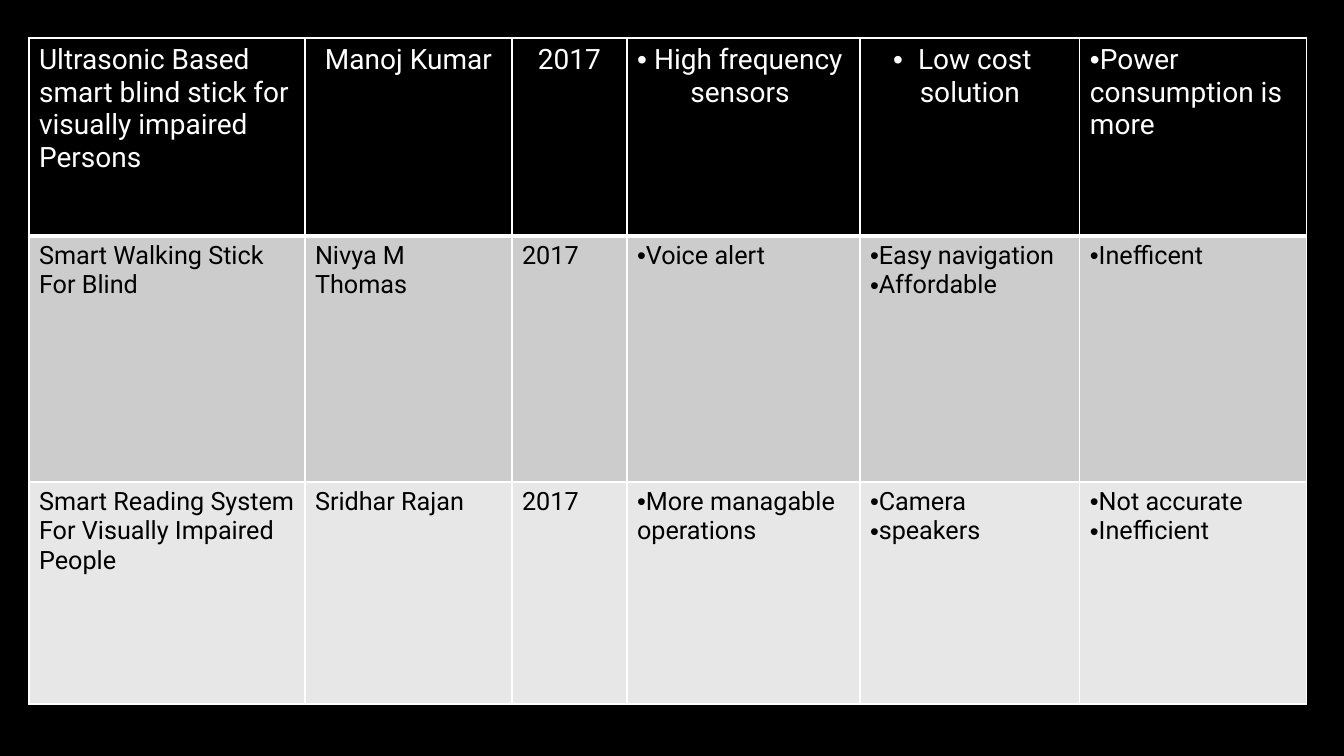
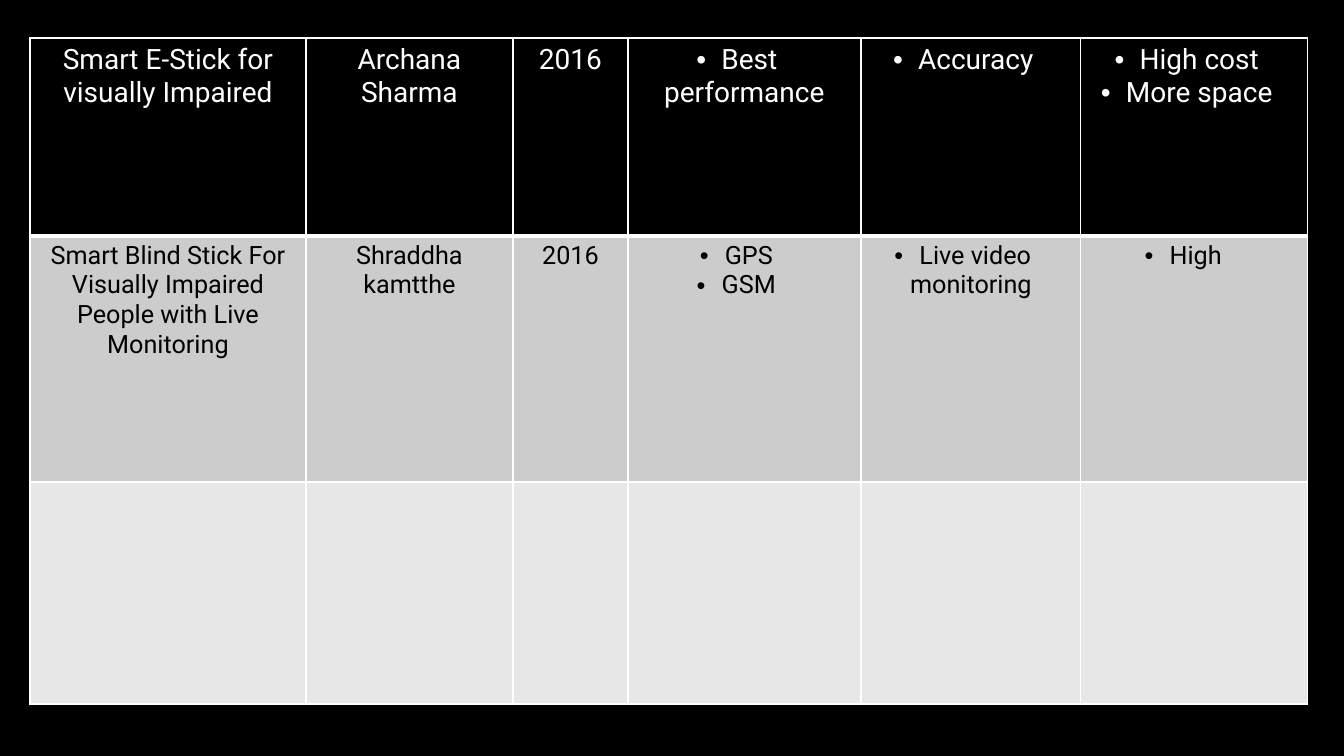
from itertools import product

from lxml import etree
from pptx import Presentation
from pptx.dml.color import RGBColor
from pptx.enum import text
from pptx.oxml import ns
from pptx.util import Emu, Pt

EMU_PER_PX = 914400 / 100.8
COLORS = {
    "page": "000000",
    "line": "FFFFFF",
    "head": "000000",
    "head_text": "FFFFFF",
    "middle": "CCCCCC",
    "last": "E7E7E7",
    "body_text": "000000",
}
FONT = "Roboto"
BULLET_FONT = "Arial"
COLUMN_WIDTHS = (276, 207, 115, 233, 220, 227)
FIRST_BULLET_COLUMN = 3
CENTRED_HANG = 25
# Per row: height, fill, text colour, text size, top and bottom line width
ROW_STYLES = (
    (198, "head", "head_text", 20, 1, 3),
    (246, "middle", "body_text", 18, 3, 1),
    (222, "last", "body_text", 18, 1, 1),
)


def px(length):
    return Emu(round(length * EMU_PER_PX))


def rgb(name):
    return RGBColor.from_string(COLORS[name])


class Deck:
    def __init__(self, width, height):
        self.file = Presentation()
        self.file.slide_width, self.file.slide_height = px(width), px(height)
        self.page = None

    def add_page(self):
        self.page = self.file.slides.add_slide(self.file.slide_layouts[6])
        fill = self.page.background.fill
        fill.solid()
        fill.fore_color.rgb = rgb("page")

    def add_table(self, left, top, rows, centred):
        """Draw the paper survey; centred holds the (row, column) pairs to centre."""
        heights = [style[0] for style in ROW_STYLES]
        table = self.page.shapes.add_table(
            len(heights), len(COLUMN_WIDTHS),
            px(left), px(top), px(sum(COLUMN_WIDTHS)), px(sum(heights)),
        ).table
        table.first_row = table.horz_banding = False
        for column, width in zip(table.columns, COLUMN_WIDTHS):
            column.width = px(width)
        for row, height in zip(table.rows, heights):
            row.height = px(height)

        for r, c in product(range(len(heights)), range(len(COLUMN_WIDTHS))):
            cell = table.cell(r, c)
            _, fill, color, size, above, below = ROW_STYLES[r]
            self.add_borders(cell, {"lnL": 1, "lnR": 1, "lnT": above, "lnB": below})
            cell.fill.solid()
            cell.fill.fore_color.rgb = rgb(fill)
            if r < len(rows):
                self.add_text(cell, rows[r][c], color, size,
                              (r, c) in centred, c >= FIRST_BULLET_COLUMN)

    def add_borders(self, cell, widths):
        properties = cell._tc.get_or_add_tcPr()
        for tag, width in widths.items():
            line = etree.SubElement(properties, ns.qn(f"a:{tag}"), w=str(Pt(width)))
            fill = etree.SubElement(line, ns.qn("a:solidFill"))
            etree.SubElement(fill, ns.qn("a:srgbClr"), val=COLORS["line"])

    def add_bullet(self, para, hang):
        properties = para._p.get_or_add_pPr()
        properties.set("marL", "0")
        properties.set("indent", str(-px(hang)))
        etree.SubElement(properties, ns.qn("a:buFont"), typeface=BULLET_FONT)
        etree.SubElement(properties, ns.qn("a:buChar"), char="•")

    def add_text(self, cell, content, color, size, centred, bulleted):
        cell.text = content
        for para in cell.text_frame.paragraphs:
            para.alignment = text.PP_ALIGN.CENTER if centred else text.PP_ALIGN.LEFT
            if bulleted:
                self.add_bullet(para, CENTRED_HANG if centred else 0)
            for span in para.runs:
                formats = {"name": FONT, "size": Pt(size), "bold": False}
                for key, value in formats.items():
                    setattr(span.font, key, value)
                span.font.color.rgb = rgb(color)


PAPERS_2017 = (
    ("Ultrasonic Based smart blind stick for visually impaired Persons",
     "Manoj Kumar", "2017", "High frequency sensors ", "Low cost solution",
     "Power consumption is more"),
    ("Smart Walking Stick For Blind", "Nivya M Thomas", "2017",
     "Voice alert", "Easy navigation\nAffordable", "Inefficent"),
    ("Smart Reading System For Visually Impaired People", "Sridhar Rajan", "2017",
     "More managable operations", "Camera\nspeakers", "Not accurate\nInefficient"),
)
PAPERS_2016 = (
    ("Smart E-Stick for visually Impaired", "Archana Sharma", "2016",
     "Best performance", "Accuracy", "High cost\nMore space"),
    ("Smart Blind Stick For Visually Impaired People with Live Monitoring",
     "Shraddha kamtthe", "2016", "GPS\nGSM", "Live video monitoring", "High "),
)


def main():
    deck = Deck(1344, 756)
    deck.add_page()
    deck.add_table(29, 38, PAPERS_2017, set(product([0], range(1, 5))))
    deck.add_page()
    deck.add_table(30, 38, PAPERS_2016, set(product(range(2), range(6))))
    deck.file.save("out.pptx")


if __name__ == "__main__":
    main()
